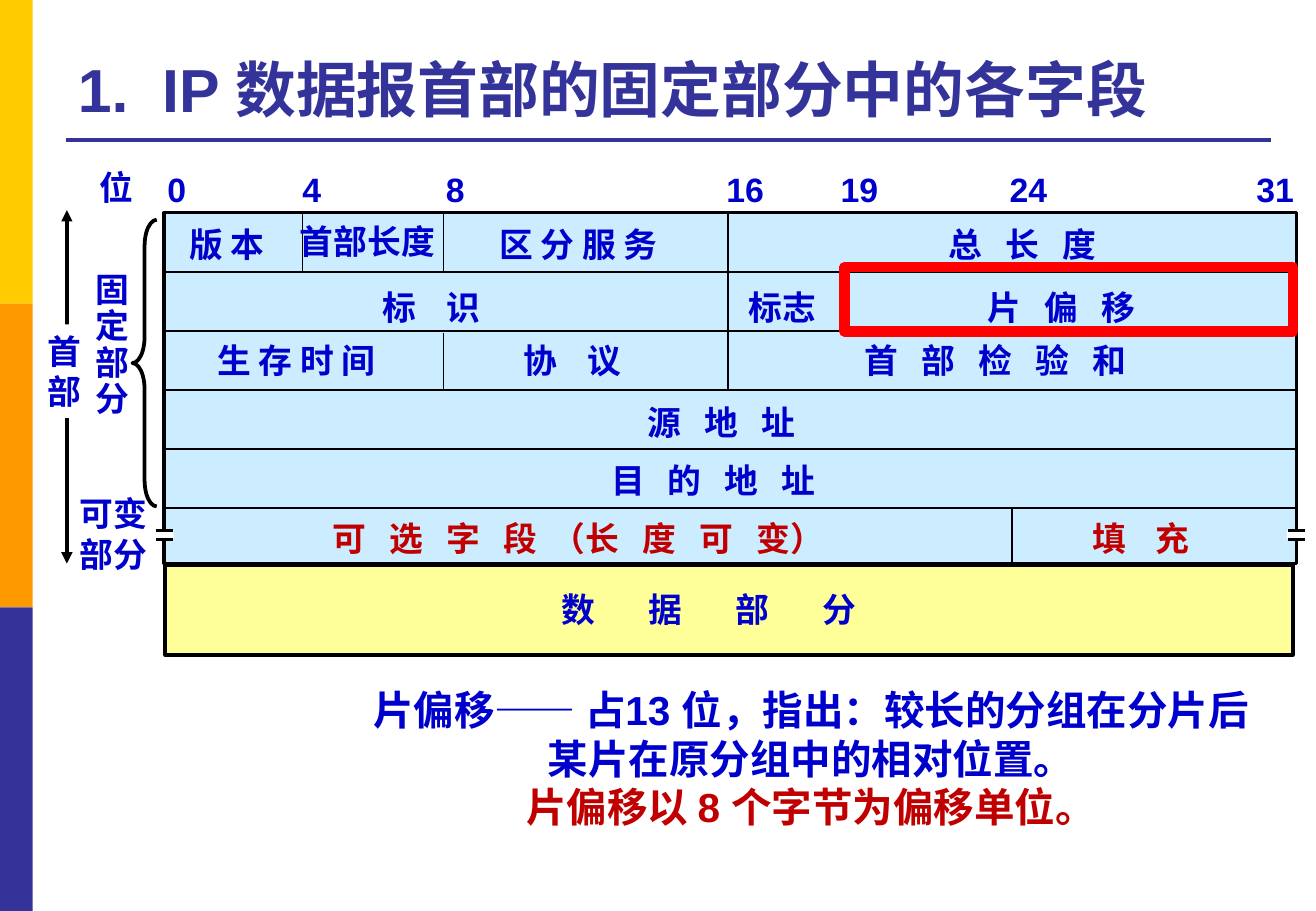
from lxml import etree
from pptx import Presentation
from pptx.dml.color import RGBColor
from pptx.enum.shapes import MSO_CONNECTOR, MSO_SHAPE
from pptx.enum.text import MSO_ANCHOR, MSO_AUTO_SIZE, PP_ALIGN
from pptx.oxml.ns import qn
from pptx.util import Inches, Pt

RECT = MSO_SHAPE.RECTANGLE
BRACE = MSO_SHAPE.LEFT_BRACE
STRAIGHT = MSO_CONNECTOR.STRAIGHT
LEFT, CENTER = PP_ALIGN.LEFT, PP_ALIGN.CENTER
TOP, BOTTOM = MSO_ANCHOR.TOP, MSO_ANCHOR.BOTTOM
NO_AUTOFIT = MSO_AUTO_SIZE.NONE

COLORS = {
    "gold": "FFCC00", "orange": "FF9900", "indigo": "333399",
    "blue": "0000CC", "crimson": "C00000", "red": "FF0000",
    "sky": "CCECFF", "cream": "FFFF99", "white": "FFFFFF", "black": "000000",
}
LABEL_FONT = {"name": "Arial", "size": Pt(20), "bold": True}
NOTE_FONT = {"name": "Arial", "size": Pt(24), "bold": True}
TITLE_FONT = {"name": "Arial", "size": Pt(36), "bold": True}
WIDE, WIDER, WIDEST = 4.6, 6.6, 13.5

prs = Presentation()
prs.slide_width, prs.slide_height = Inches(10.83), Inches(7.5)
slide = prs.slides.add_slide(prs.slide_layouts[5])
shapes = slide.shapes


def write(paragraph, text, font, color="blue", tracking=0):
    run = paragraph.add_run()
    run.text = text
    for key, value in font.items():
        setattr(run.font, key, value)
    run.font.color.rgb = RGBColor.from_string(COLORS[color])
    if tracking:
        run._r.get_or_add_rPr().set("spc", str(round(tracking * 100)))


def draw(kind, box, fill=None, line=None, width=1):
    if kind is STRAIGHT:
        item = shapes.add_connector(kind, *map(Inches, box))
        etree.SubElement(item._element.spPr, qn("a:effectLst"))
    else:
        item = shapes.add_shape(kind, *map(Inches, box))
        item.shadow.inherit = False
        if fill:
            item.fill.solid()
            item.fill.fore_color.rgb = RGBColor.from_string(COLORS[fill])
        else:
            item.fill.background()
    if line:
        item.line.color.rgb = RGBColor.from_string(COLORS[line])
        item.line.width = Pt(width)
    else:
        item.line.fill.background()
    return item


for band, color in enumerate(["gold", "orange", "indigo"]):
    draw(RECT, (0, 2.5 * band, 0.27, 2.5), color)
draw(STRAIGHT, (0.54, 1.15, 10.46, 1.15), line="indigo", width=2.25)

title = shapes.title
title.left, title.top, title.width, title.height = map(Inches, (0.54, 0.21, 9.91, 0.87))
title.text_frame.auto_size = NO_AUTOFIT
title.text_frame.vertical_anchor = BOTTOM
heading = title.text_frame.paragraphs[0]
heading.alignment = LEFT
for text, tracking in [("1.", 0), (" ", 10), ("IP 数据报首部的固定部分中的各字段", 0)]:
    write(heading, text, TITLE_FONT, "indigo", tracking)

draw(RECT, (1.35, 1.75, 9.32, 2.89), "sky", "black", 2)
draw(RECT, (1.36, 4.65, 9.28, 0.74), "cream", "black", 2.25)
for row in range(5):
    y = 2.24 + 0.485 * row
    draw(STRAIGHT, (1.34, y, 10.68, y), line="black")
for x, top, bottom in [
    (2.49, 1.76, 2.24), (3.65, 1.76, 2.24), (3.65, 2.74, 3.21),
    (5.99, 1.76, 3.21), (6.94, 2.26, 2.73), (8.33, 4.18, 4.66),
]:
    draw(STRAIGHT, (x, top, x, bottom), line="black")

for x in (1.27, 10.59):
    draw(RECT, (x, 4.36, 0.16, 0.08), "white")
    for y in (4.37, 4.44):
        draw(STRAIGHT, (x + 0.01, y, x + 0.15, y), line="black", width=2)

header_span = draw(STRAIGHT, (0.55, 1.73, 0.55, 4.64), line="black", width=2.25)
for end in ("a:headEnd", "a:tailEnd"):
    etree.SubElement(header_span.line._get_or_add_ln(), qn(end), type="triangle")
header_label = draw(RECT, (0.29, 2.67, 0.48, 0.77), "white")
fixed_brace = draw(BRACE, (1.09, 1.81, 0.2, 2.36), line="black", width=2.25)
fixed_brace.adjustments[0] = 1.08

bit_labels = [
    (x, 1.34, 0.51, [(bit, 0)], "blue")
    for x, bit in [(1.28, "0"), (2.39, "4"), (3.57, "8"), (5.88, "16"),
                   (6.82, "19"), (8.21, "24"), (10.24, "31")]
]
optional_field = [("可 选 字 ", WIDE), ("段 ", 2), ("（", 0), ("长 度 可 ", WIDE), ("变）", 0)]
field_labels = [
    (0.72, 1.32, 0.48, [("位", 0)], "blue"),
    (1.46, 1.79, 0.84, [("版 本", 0)], "blue"),
    (2.37, 1.77, 1.32, [("首部长度", 0)], "blue"),
    (4.01, 1.79, 1.56, [("区 分 服 务", 0)], "blue"),
    (7.71, 1.79, 1.51, [("总 长 度", WIDE)], "blue"),
    (3.05, 2.31, 1.07, [("标 识", WIDER)], "blue"),
    (6.06, 2.31, 0.76, [("标志", 0)], "blue"),
    (8.03, 2.31, 1.51, [("片 偏 移", WIDE)], "blue"),
    (1.69, 2.75, 1.56, [("生 存 时 间", 0)], "blue"),
    (4.21, 2.75, 1.07, [("协 议", WIDER)], "blue"),
    (7.02, 2.75, 2.54, [("首 部 检 验 和", WIDE)], "blue"),
    (5.23, 3.26, 1.51, [("源 地 址", WIDE)], "blue"),
    (4.93, 3.74, 2.02, [("目 的 地 址", WIDE)], "blue"),
    (2.64, 4.21, 4.56, optional_field, "crimson"),
    (8.89, 4.21, 1.07, [("填 充", WIDER)], "crimson"),
    (4.52, 4.8, 3.45, [("数 据 部 分", WIDEST)], "blue"),
]
for x, y, width, parts, color in bit_labels + field_labels:
    label = shapes.add_textbox(*map(Inches, (x, y, width, 0.44))).text_frame
    label.word_wrap = False
    label.paragraphs[0].alignment = LEFT
    for text, tracking in parts:
        write(label.paragraphs[0], text, LABEL_FONT, color, tracking)

fixed_label = shapes.add_textbox(*map(Inches, (0.69, 2.2, 0.48, 1.31)))
variable_label = shapes.add_textbox(*map(Inches, (0.56, 4.01, 0.76, 0.77)))
offset_box = shapes.add_textbox(*map(Inches, (2.91, 5.59, 7.53, 1.31)))
offset_note = [
    ("片偏移—— 占13 位，指出：较长的分组在分片后", "blue"),
    ("某片在原分组中的相对位置。", "blue"),
    ("片偏移以 8 个字节为偏移单位。", "crimson"),
]
stacked_texts = [
    (header_label, [("首", "blue"), ("部", "blue")], LABEL_FONT, LEFT, 1.0, False),
    (fixed_label, [(char, "blue") for char in "固定部分"], LABEL_FONT, LEFT, 0.9, False),
    (variable_label, [("可变", "blue"), ("部分", "blue")], LABEL_FONT, LEFT, 1.0, False),
    (offset_box, offset_note, NOTE_FONT, CENTER, 1.0, True),
]
for holder, lines, font, alignment, spacing, wrap in stacked_texts:
    frame = holder.text_frame
    frame.word_wrap = wrap
    frame.vertical_anchor = TOP
    for index, (text, color) in enumerate(lines):
        paragraph = frame.add_paragraph() if index else frame.paragraphs[0]
        paragraph.alignment = alignment
        paragraph.line_spacing = spacing
        write(paragraph, text, font, color)

draw(RECT, (6.95, 2.2, 3.69, 0.53), line="red", width=6)

prs.save("out.pptx")
